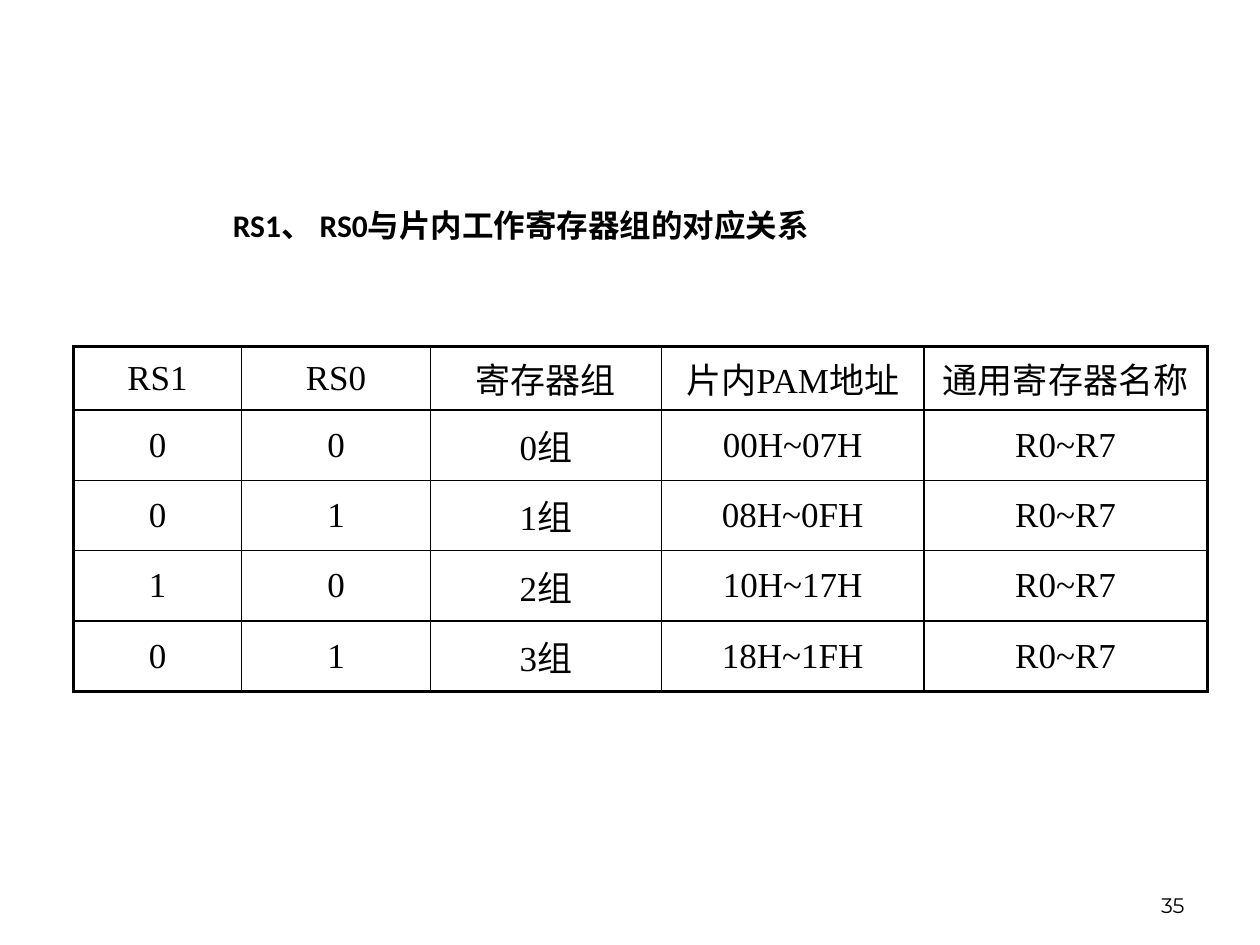
from lxml import etree
from pptx import Presentation
from pptx.dml.color import RGBColor
from pptx.enum.text import MSO_ANCHOR, MSO_AUTO_SIZE, PP_ALIGN
from pptx.oxml.ns import qn
from pptx.util import Pt

TOP, MIDDLE, BOTTOM = MSO_ANCHOR.TOP, MSO_ANCHOR.MIDDLE, MSO_ANCHOR.BOTTOM
LEFT, CENTER, RIGHT = PP_ALIGN.LEFT, PP_ALIGN.CENTER, PP_ALIGN.RIGHT
TITLE_ONLY = 5

COLORS = {"text": "000000", "border": "000000"}
TITLE = "RS1、 RS0与片内工作寄存器组的对应关系"
PAGE_NUMBER = "35"
ROWS = [
    ("RS1", "RS0", "寄存器组", "片内PAM地址", "通用寄存器名称"),
    ("0", "0", "0组", "00H~07H", "R0~R7"),
    ("0", "1", "1组", "08H~0FH", "R0~R7"),
    ("1", "0", "2组", "10H~17H", "R0~R7"),
    ("0", "1", "3组", "18H~1FH", "R0~R7"),
]
COLUMN_WIDTHS = [96, 108, 132, 150, 162]
ROW_HEIGHTS = [36] + [40.25] * 4
OUTER_LINE, INNER_LINE = 2.25, 1


def write(frame, text, font, size, align, anchor, bold=False):
    frame.text = text
    frame.vertical_anchor = anchor
    para = frame.paragraphs[0]
    para.alignment = align
    para.font.name = font
    para.font.size = Pt(size)
    para.font.bold = bold
    para.font.color.rgb = RGBColor.from_string(COLORS["text"])
    return para


def add_border(cell, side, width):
    """Draw one cell edge; side is L, R, T or B, given in that order."""
    properties = cell._tc.get_or_add_tcPr()
    line = etree.SubElement(properties, qn(f"a:ln{side}"), w=str(Pt(width)))
    fill = etree.SubElement(line, qn("a:solidFill"))
    etree.SubElement(fill, qn("a:srgbClr"), val=COLORS["border"])


def add_register_table(page):
    last_row, last_column = len(ROWS) - 1, len(COLUMN_WIDTHS) - 1
    table = page.shapes.add_table(
        len(ROWS), len(COLUMN_WIDTHS), Pt(42), Pt(198),
        Pt(sum(COLUMN_WIDTHS)), Pt(sum(ROW_HEIGHTS))).table
    table.first_row = table.horz_banding = False
    for column, width in zip(table.columns, COLUMN_WIDTHS):
        column.width = Pt(width)
    for row, height in zip(table.rows, ROW_HEIGHTS):
        row.height = Pt(height)

    for r, texts in enumerate(ROWS):
        for c, text in enumerate(texts):
            cell = table.cell(r, c)
            para = write(cell.text_frame, text, "Times New Roman", 20, CENTER, None)
            para.space_before = Pt(4)
            cell.vertical_anchor = MIDDLE
            outer = {"L": c == 0, "R": c == last_column,
                     "T": r == 0, "B": r == last_row}
            for side, is_outer in outer.items():
                add_border(cell, side, OUTER_LINE if is_outer else INNER_LINE)
            cell.fill.background()


def main():
    deck = Presentation()
    deck.slide_width, deck.slide_height = Pt(720), Pt(540)
    page = deck.slides.add_slide(deck.slide_layouts[TITLE_ONLY])

    title = page.shapes.title
    title.left, title.top, title.width, title.height = Pt(114), Pt(114), Pt(492), Pt(36)
    write(title.text_frame, TITLE, "Calibri", 18, LEFT, TOP, bold=True)
    title.text_frame.auto_size = MSO_AUTO_SIZE.NONE
    title.text_frame.word_wrap = True
    title.text_frame.margin_left = Pt(19)

    add_register_table(page)

    number = page.shapes.add_textbox(Pt(516), Pt(492), Pt(168), Pt(36))
    number.text_frame.word_wrap = True
    write(number.text_frame, PAGE_NUMBER, "Montserrat", 12, RIGHT, BOTTOM)

    deck.save("out.pptx")


if __name__ == "__main__":
    main()
